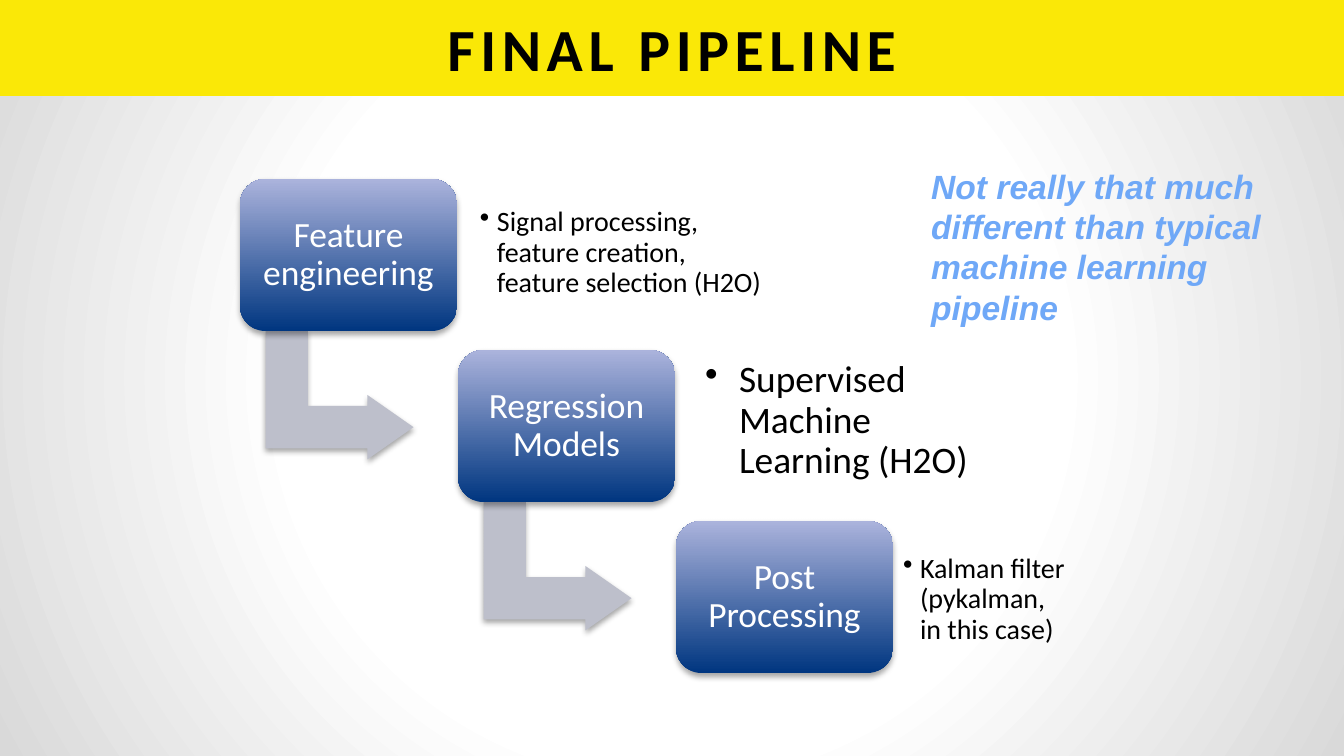
from lxml import etree
from pptx import Presentation
from pptx import util as u
from pptx.dml.color import RGBColor
from pptx.enum import shapes, text
from pptx.oxml import parse_xml
from pptx.oxml.ns import nsdecls, qn

WIDTH, HEIGHT = 1344, 756
PX = 914400 / 134.4
TITLE = "FINAL PIPELINE"
CALLOUT = "Not really that much different than typical machine learning pipeline"
# step label, note text, note (left, top, width), note size in pt, note indent in px
STEPS = [
    ("Feature engineering", "Signal processing,\vfeature creation,\vfeature selection (H2O)",
     (469, 192, 314), 15, 17),
    ("Regression\vModels", "Supervised Machine Learning (H2O)", (694, 360, 302), 20, 34),
    ("Post Processing", "Kalman filter (pykalman,\vin this case)", (892, 539, 262), 15, 17),
]
NOTE_HEIGHT = 122
STEP_LEFT, STEP_TOP, STEP_WIDTH, STEP_HEIGHT = 240, 179, 217, 152
STRIDE_X, STRIDE_Y = 218, 171
ARROW_DX, ARROW_DY, ARROW_WIDTH, ARROW_HEIGHT = 35, 142, 129, 148
INSET = 11


def px(*values):
    return [u.Emu(round(value * PX)) for value in values]


def color(value):
    return RGBColor.from_string(value)


def set_background(page):
    """Radial gradient, white in the middle and grey at the corners."""
    page.element.cSld.insert(0, parse_xml(
        f'<p:bg {nsdecls("p", "a")}><p:bgPr><a:gradFill rotWithShape="1"><a:gsLst>'
        '<a:gs pos="50000"><a:srgbClr val="FFFFFF"/></a:gs>'
        '<a:gs pos="100000"><a:srgbClr val="D9D9D9"/></a:gs></a:gsLst>'
        '<a:path path="circle"><a:fillToRect l="50000" t="50000" r="50000" b="50000"/></a:path>'
        '</a:gradFill><a:effectLst/></p:bgPr></p:bg>'))


def add_shape(page, kind, frame, adjustments=(), fill=None, shadow=True):
    shape = page.shapes.add_shape(kind, *px(*frame))
    for index, value in enumerate(adjustments):
        shape.adjustments[index] = value
    shape.line.fill.background()
    if fill:
        shape.fill.solid()
        shape.fill.fore_color.rgb = color(fill)
    else:
        shape.fill.gradient()
        shape.fill.gradient_angle = 90
        for stop, (position, value) in zip(shape.fill.gradient_stops,
                                           [(0, "003680"), (1, "ABB3DC")]):
            stop.position = position
            stop.color.rgb = color(value)
    shape.shadow.inherit = False
    if shadow:
        shape.element.spPr.find(qn("a:effectLst")).append(parse_xml(
            f'<a:outerShdw {nsdecls("a")} blurRad="40000" dist="23000" dir="5400000" '
            'rotWithShape="0"><a:srgbClr val="000000"><a:alpha val="35000"/></a:srgbClr>'
            '</a:outerShdw>'))
    return shape


def write(box, content, size, value, font="Calibri", inset=None, anchor=None):
    frame = box.text_frame
    frame.word_wrap = True
    if anchor is not None:
        frame.vertical_anchor = anchor
    if inset is not None:
        margin = px(inset)[0]
        frame.margin_left = frame.margin_right = margin
        frame.margin_top = frame.margin_bottom = margin
    frame.text = content
    para = frame.paragraphs[0]
    for span in para.runs:
        span.font.name, span.font.size = font, u.Pt(size)
        span.font.color.rgb = color(value)
    return para


def add_bullet(para, indent):
    properties = para._p.get_or_add_pPr()
    distance = px(indent)[0]
    properties.set("marL", str(distance))
    properties.set("indent", str(-distance))
    etree.SubElement(properties, qn("a:buChar")).set("char", "•")


deck = Presentation()
deck.slide_width, deck.slide_height = px(WIDTH, HEIGHT)
page = deck.slides.add_slide(deck.slide_layouts[5])
set_background(page)

title = page.shapes.title
title.left, title.top, title.width, title.height = px(67, -1, 1210, 97)
para = write(title, TITLE, 32, "000000", anchor=text.MSO_ANCHOR.MIDDLE)
para.alignment = text.PP_ALIGN.CENTER
heading = para.runs[0]
heading.font.bold = True
heading._r.get_or_add_rPr().set("spc", "300")
band = add_shape(page, shapes.MSO_SHAPE.RECTANGLE, (0, 0, WIDTH, 96),
                 fill="FAE807", shadow=False)
title.element.addprevious(band.element)

for index, (label, note, place, size, indent) in enumerate(STEPS):
    left, top = STEP_LEFT + index * STRIDE_X, STEP_TOP + index * STRIDE_Y
    if index < len(STEPS) - 1:
        arrow = add_shape(page, shapes.MSO_SHAPE.BENT_UP_ARROW,
                          (left + ARROW_DX, top + ARROW_DY, ARROW_WIDTH, ARROW_HEIGHT),
                          (0.328, 0.25, 0.358), "BDBFCB")
        arrow.rotation = 90
    step = add_shape(page, shapes.MSO_SHAPE.ROUNDED_RECTANGLE,
                     (left, top, STEP_WIDTH, STEP_HEIGHT), (0.167,))
    para = write(step, label, 19, "FFFFFF", inset=INSET, anchor=text.MSO_ANCHOR.MIDDLE)
    para.alignment = text.PP_ALIGN.CENTER
    para.line_spacing = 0.9

    box = page.shapes.add_textbox(*px(*place, NOTE_HEIGHT))
    para = write(box, note, size, "000000", inset=INSET, anchor=text.MSO_ANCHOR.MIDDLE)
    para.line_spacing = 0.9
    add_bullet(para, indent)

callout = page.shapes.add_textbox(*px(918, 159, 359, 176))
remark = write(callout, CALLOUT, 18, "6FA8F7", font="Arial").runs[0]
remark.font.bold = remark.font.italic = True

deck.save("out.pptx")
